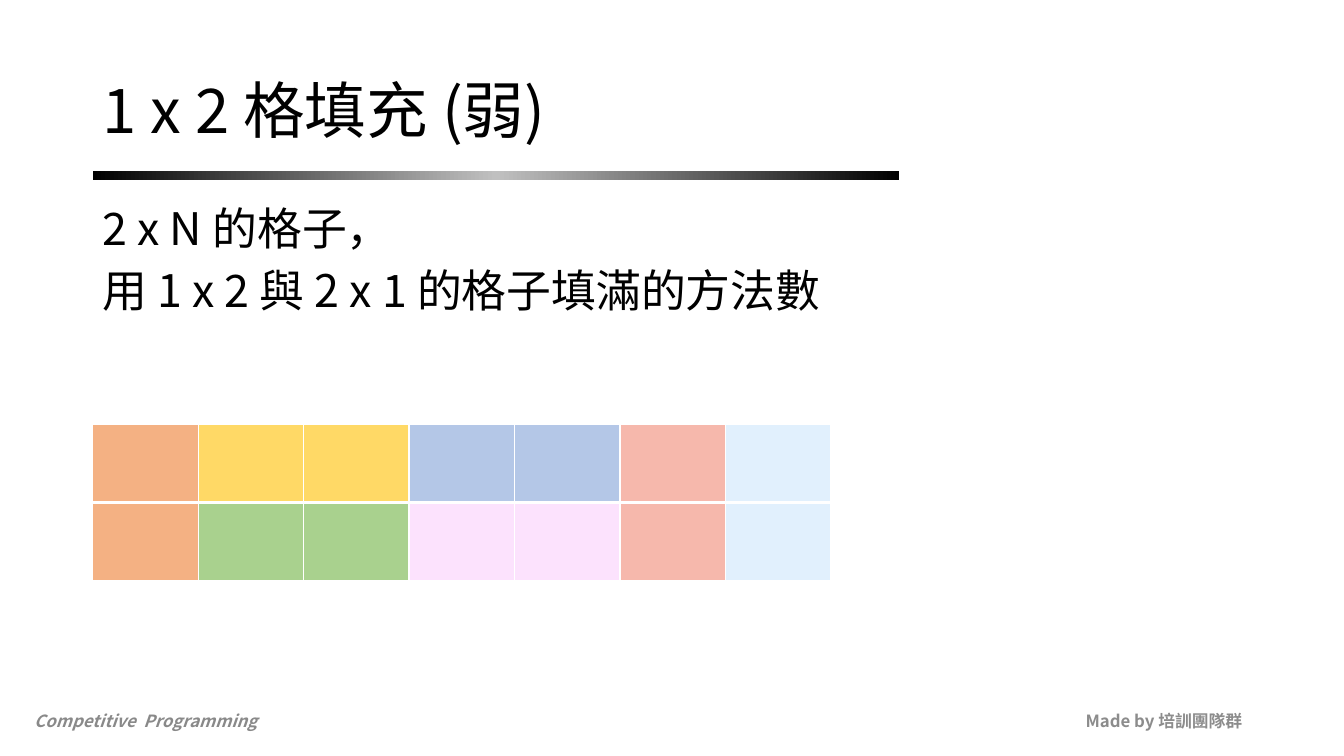
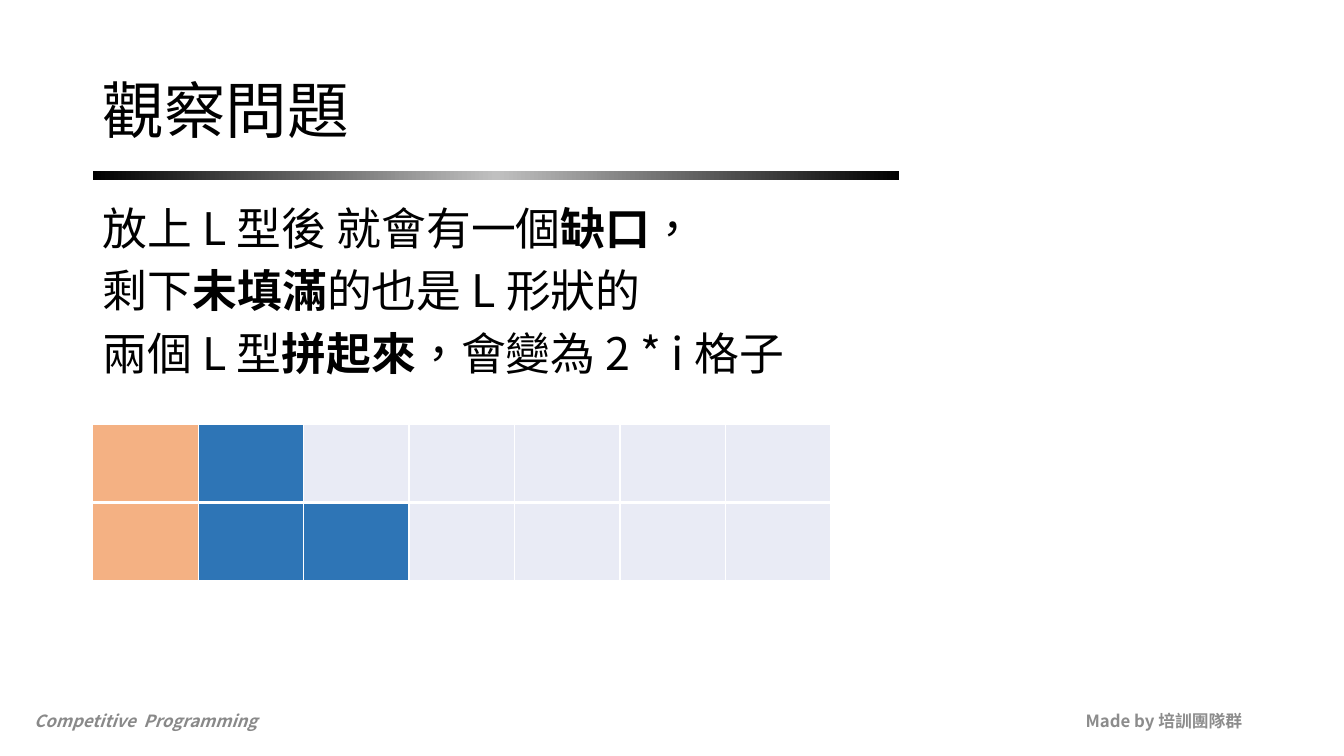
import pptx
import pptx.util
import pptx.dml.color
import pptx.enum.lang
import pptx.enum.shapes
import pptx.enum.text
import pptx.oxml
import pptx.oxml.ns
import copy

Inches, Pt = pptx.util.Inches, pptx.util.Pt
RGB = pptx.dml.color.RGBColor.from_string
ALIGN, ANCHOR = pptx.enum.text.PP_ALIGN, pptx.enum.text.MSO_ANCHOR
LANGUAGE = pptx.enum.lang.MSO_LANGUAGE_ID
qn = pptx.oxml.ns.qn

FONT = "Noto Sans CJK SC"
COLORS = {
    "black": "000000", "silver": "C0C0C0", "white": "FFFFFF",
    "credit": "8C8C8C", "course": "898989",
    "orange": "F4B183", "yellow": "FFD966", "periwinkle": "B4C7E7",
    "salmon": "F6B8AC", "sky": "E1F0FD", "green": "A9D18E",
    "pink": "FCE2FD", "blue": "2E75B6", "empty": "E9EBF5",
}

# Shared grid, in inches
LEFT, TEXT_WIDTH = 0.92, 11.5
FOOTER_TOP, FOOTER_WIDTH, FOOTER_HEIGHT = 6.95, 3, 0.4
COLUMNS, ROWS = 7, 2
BOARD = (LEFT, 4.21, 7.32, 1.55)

# Shared text styles: font values and paragraph values
TITLE = ({"size": Pt(44)}, {"line_spacing": 0.9}, "black")
BODY = ({"size": Pt(32)}, {"line_spacing": 0.9, "space_before": Pt(10)}, "black")
CREDIT = ({"size": Pt(12), "bold": True}, {"alignment": ALIGN.RIGHT}, "credit")
COURSE = ({"size": Pt(12), "bold": True, "italic": True}, {}, "course")


def add_text(slide, box, lines, style, language, anchor=ANCHOR.MIDDLE):
    """Write one paragraph per line; text between bars is bold."""
    font_values, paragraph_values, color = style
    frame = slide.shapes.add_textbox(*map(Inches, box)).text_frame
    frame.word_wrap = True
    frame.vertical_anchor = anchor
    for number, line in enumerate(lines):
        paragraph = frame.add_paragraph() if number else frame.paragraphs[0]
        for key, value in paragraph_values.items():
            setattr(paragraph, key, value)
        for part, words in enumerate(line.split("|")):
            run = paragraph.add_run()
            run.text = words
            values = {"name": FONT, "language_id": language, **font_values}
            if part % 2:
                values["bold"] = True
            for key, value in values.items():
                setattr(run.font, key, value)
            run.font.color.rgb = RGB(COLORS[color])
            east_asian = pptx.oxml.parse_xml(
                f'<a:ea {pptx.oxml.ns.nsdecls("a")} typeface="{FONT}"/>')
            run.font._element.append(east_asian)


def add_border(cell, edges):
    """Draw white cell edges, given as a dict of edge letter to points."""
    for order, (edge, points) in enumerate(edges.items()):
        line = pptx.oxml.parse_xml(
            f'<a:ln{edge} {pptx.oxml.ns.nsdecls("a")} w="{Pt(points)}">'
            f'<a:solidFill><a:srgbClr val="{COLORS["white"]}"/></a:solidFill>'
            f'</a:ln{edge}>')
        cell._tc.get_or_add_tcPr().insert(order, line)


slides = [
    {
        "title": "1 x 2 格填充 (弱)",
        "body": ["2 x N 的格子，", "用 1 x 2 與 2 x 1 的格子填滿的方法數"],
        "language": LANGUAGE.SIMPLIFIED_CHINESE,
        "tiles": [
            ["orange"] + ["yellow"] * 2 + ["periwinkle"] * 2 + ["salmon", "sky"],
            ["orange"] + ["green"] * 2 + ["pink"] * 2 + ["salmon", "sky"],
        ],
    },
    {
        "title": "觀察問題",
        "body": ["放上 L 型後 就會有一個|缺口|，",
                 "剩下|未填滿|的也是 L 形狀的",
                 "兩個 L 型|拼起來|，會變為 2 * i 格子"],
        "language": LANGUAGE.TRADITIONAL_CHINESE,
        "tiles": [
            ["orange", "blue"] + ["empty"] * 5,
            ["orange"] + ["blue"] * 2 + ["empty"] * 4,
        ],
    },
]

deck = pptx.Presentation()
deck.slide_width, deck.slide_height = Inches(13.33), Inches(7.5)

for content in slides:
    slide = deck.slides.add_slide(deck.slide_layouts[6])
    language = content["language"]

    # Footers
    for left, words, style in ((9.42, "Made by 培訓團隊群", CREDIT),
                               (0.24, "Competitive  Programming", COURSE)):
        add_text(slide, (left, FOOTER_TOP, FOOTER_WIDTH, FOOTER_HEIGHT),
                 [words], style, language)

    # Gradient band under the title
    band = slide.shapes.add_shape(
        pptx.enum.shapes.MSO_SHAPE.RECTANGLE, *map(Inches, (LEFT, 1.7, 8, 0.09)))
    band.shadow.inherit = False
    band.line.fill.background()
    band.fill.gradient()
    band.fill.gradient_angle = 0
    stop_list = band._element.spPr.find(".//" + qn("a:gsLst"))
    stop_list.append(copy.deepcopy(stop_list[0]))
    for stop, position, color in zip(band.fill.gradient_stops, (0, 0.5, 1),
                                     ("black", "silver", "black")):
        stop.position = position
        stop.color.rgb = RGB(COLORS[color])

    # Title and body
    add_text(slide, (LEFT, 0.4, TEXT_WIDTH, 1.45), [content["title"]],
             TITLE, language)
    add_text(slide, (LEFT, 2, TEXT_WIDTH, 4.76), content["body"],
             BODY, language, ANCHOR.TOP)

    # Board of tiles, with a thicker line between its two rows
    board = slide.shapes.add_table(ROWS, COLUMNS, *map(Inches, BOARD)).table
    board.first_row = board.horz_banding = False
    for row, colors in enumerate(content["tiles"]):
        for column, color in enumerate(colors):
            tile = board.cell(row, column)
            tile.fill.solid()
            tile.fill.fore_color.rgb = RGB(COLORS[color])
            add_border(tile, {"L": 1, "R": 1, "T": 3 if row else 1,
                              "B": 1 if row else 3})

deck.save("out.pptx")
